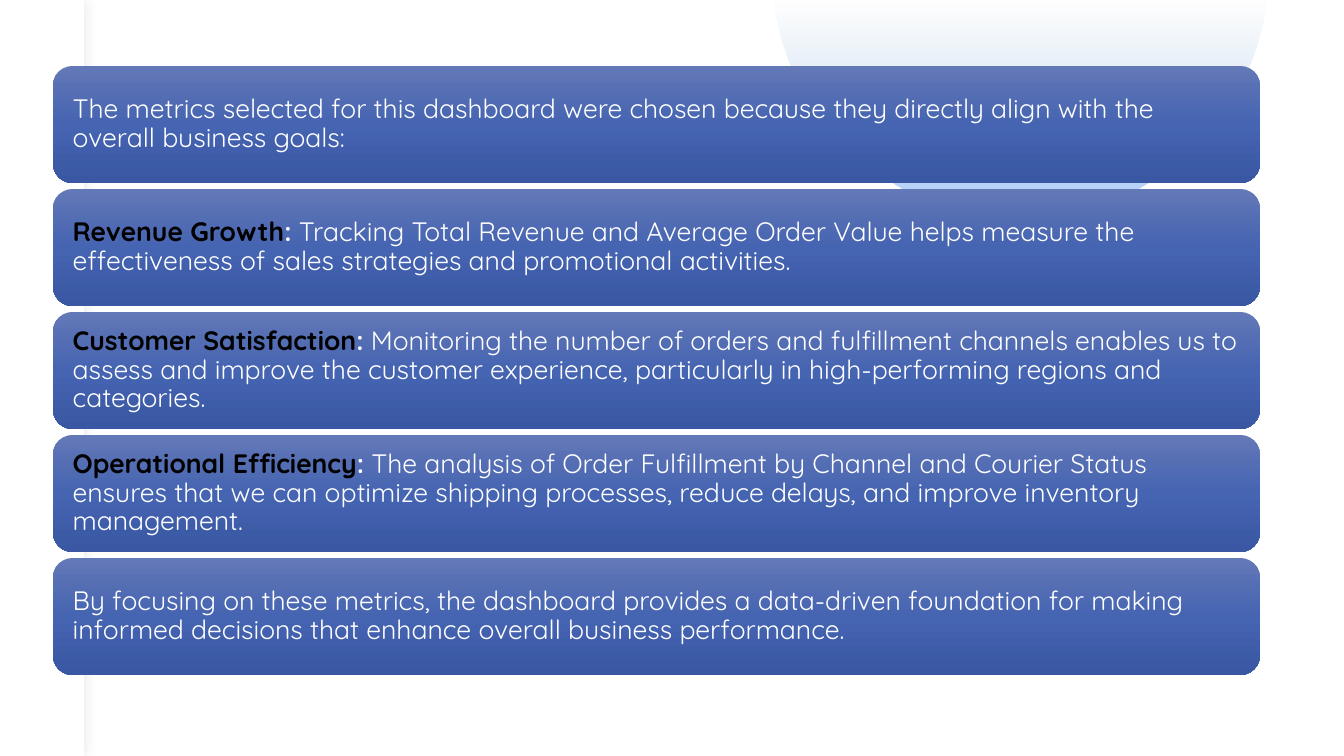
"""Build the slide on why the dashboard metrics were chosen."""
from lxml import etree
from pptx import Presentation
from pptx.dml.color import RGBColor
from pptx.enum.shapes import MSO_SHAPE as Shape
from pptx.enum.text import MSO_ANCHOR as Anchor, PP_ALIGN as Align
from pptx.oxml.ns import qn
from pptx.util import Pt

PX = 12192000 / 1344


def px(n):
    return round(n * PX)


def shade(shape, stops):
    shape.shadow.inherit = False
    shape.line.fill.background()
    shape.fill.background()
    grad = etree.Element(qn("a:gradFill"), rotWithShape="1")
    group = etree.SubElement(grad, qn("a:gsLst"))
    for pos, tint, alpha in stops:
        stop = etree.SubElement(group, qn("a:gs"), pos=str(pos * 1000))
        color = etree.SubElement(stop, qn("a:srgbClr"), val=tint)
        if alpha < 100:
            etree.SubElement(color, qn("a:alpha"), val=str(alpha * 1000))
    etree.SubElement(grad, qn("a:lin"), ang="5400000", scaled="0")
    props = shape.element.spPr
    props.replace(props.find(qn("a:noFill")), grad)


deck = Presentation()
deck.slide_width, deck.slide_height = px(1344), px(756)
slide = deck.slides.add_slide(deck.slide_layouts[6])
shapes = slide.shapes

CURVES = [
    [(1263, 20), (1240, 133), (1140, 219), (1020, 219)],
    [(1020, 219), (901, 219), (800, 133), (777, 20)],
]
STEPS = 24
points = [(1266, 0)]
for a, b, c, d in CURVES:
    for i in range(STEPS + 1):
        t = i / STEPS
        u = 1 - t
        points.append(tuple(
            u**3 * a[k] + 3 * u * u * t * b[k] + 3 * u * t * t * c[k] + t**3 * d[k]
            for k in (0, 1)))
outline = shapes.build_freeform(px(774), 0, scale=1.0)
outline.add_line_segments([(px(x), px(y)) for x, y in points], close=True)
shade(outline.convert_to_shape(), [(0, "B4CCE7", 0), (100, "ACCBF9", 100)])

strip = shapes.add_shape(Shape.RECTANGLE, 0, 0, px(84), px(756))
strip.fill.solid()
strip.fill.fore_color.rgb = RGBColor.from_string("FFFFFF")
strip.line.fill.background()
strip.shadow.inherit = False
glow = etree.SubElement(
    strip.element.spPr.find(qn("a:effectLst")), qn("a:outerShdw"),
    blurRad=str(Pt(10)), dist="0", dir="0", algn="ctr", rotWithShape="0")
black = etree.SubElement(glow, qn("a:srgbClr"), val="000000")
etree.SubElement(black, qn("a:alpha"), val="10000")

CARDS = [
    ("", "The metrics selected for this dashboard were chosen because they "
     "directly align with the overall business goals:"),
    ("Revenue Growth", " Tracking Total Revenue and Average Order Value helps "
     "measure the effectiveness of sales strategies and promotional activities."),
    ("Customer Satisfaction", " Monitoring the number of orders and fulfillment "
     "channels enables us to assess and improve the customer experience, "
     "particularly in high-performing regions and categories."),
    ("Operational Efficiency", " The analysis of Order Fulfillment by Channel and "
     "Courier Status ensures that we can optimize shipping processes, reduce "
     "delays, and improve inventory management."),
    ("", "By focusing on these metrics, the dashboard provides a data-driven "
     "foundation for making informed decisions that enhance overall business "
     "performance."),
]
BLUES = [(0, "6378B7", 100), (50, "4564B1", 100), (100, "3957A2", 100)]

for row, (title, body) in enumerate(CARDS):
    card = shapes.add_shape(
        Shape.ROUNDED_RECTANGLE, px(53), px(66 + 123 * row), px(1207), px(117))
    shade(card, BLUES)
    frame = card.text_frame
    frame.word_wrap = True
    frame.vertical_anchor = Anchor.MIDDLE
    frame.margin_left = frame.margin_right = px(14)
    frame.margin_top = frame.margin_bottom = px(8)
    para = frame.paragraphs[0]
    para.alignment = Align.LEFT
    para.line_spacing = 0.9
    para.space_after = Pt(7)
    parts = [(body, "FFFFFF", False)]
    if title:
        parts = [(title, "000000", True), (":", "FFFFFF", True)] + parts
    for text, tint, bold in parts:
        run = para.add_run()
        run.text = text
        run.font.name = "Quicksand"
        run.font.size = Pt(19)
        run.font.bold = bold
        run.font.color.rgb = RGBColor.from_string(tint)

deck.save("out.pptx")
